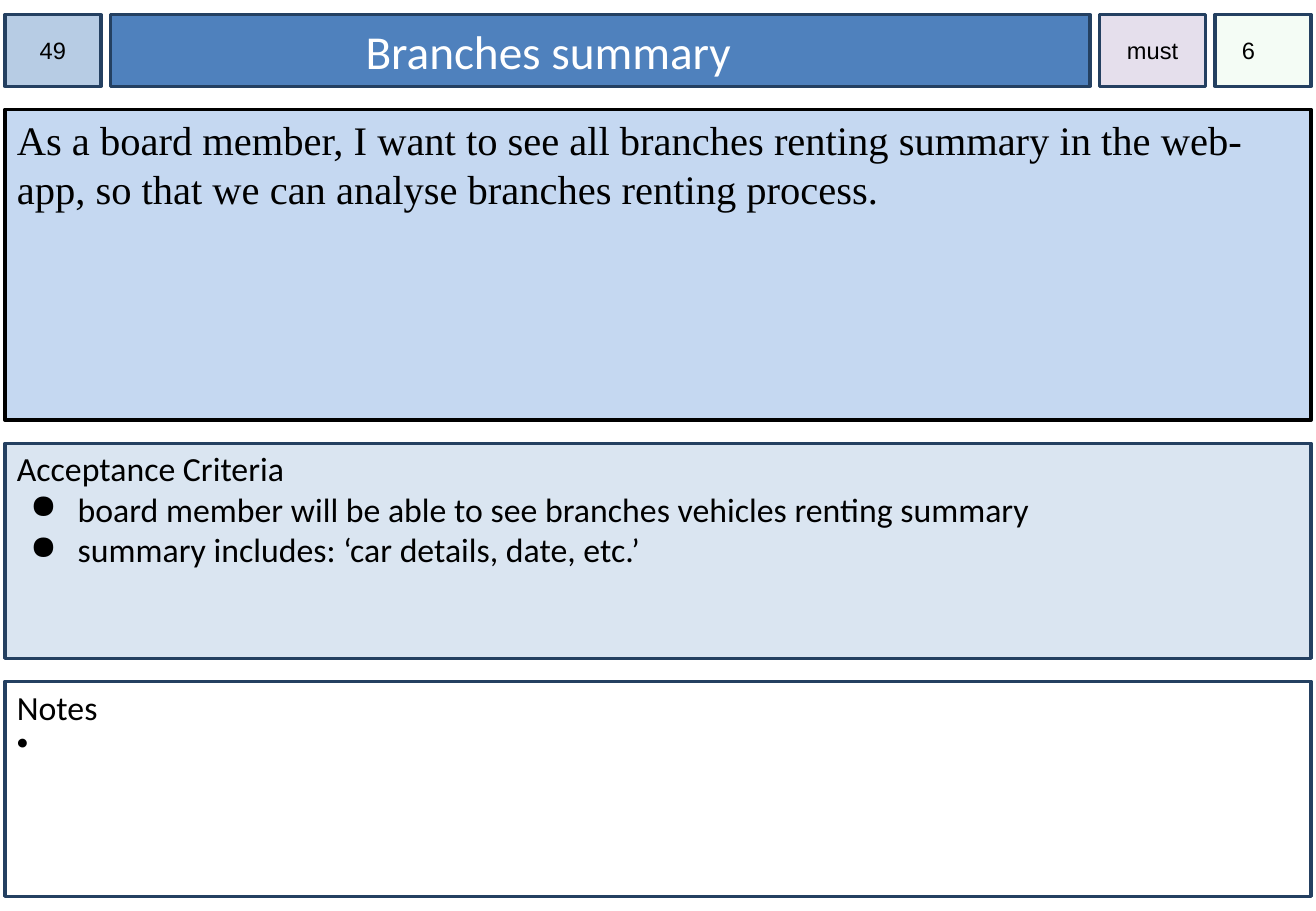
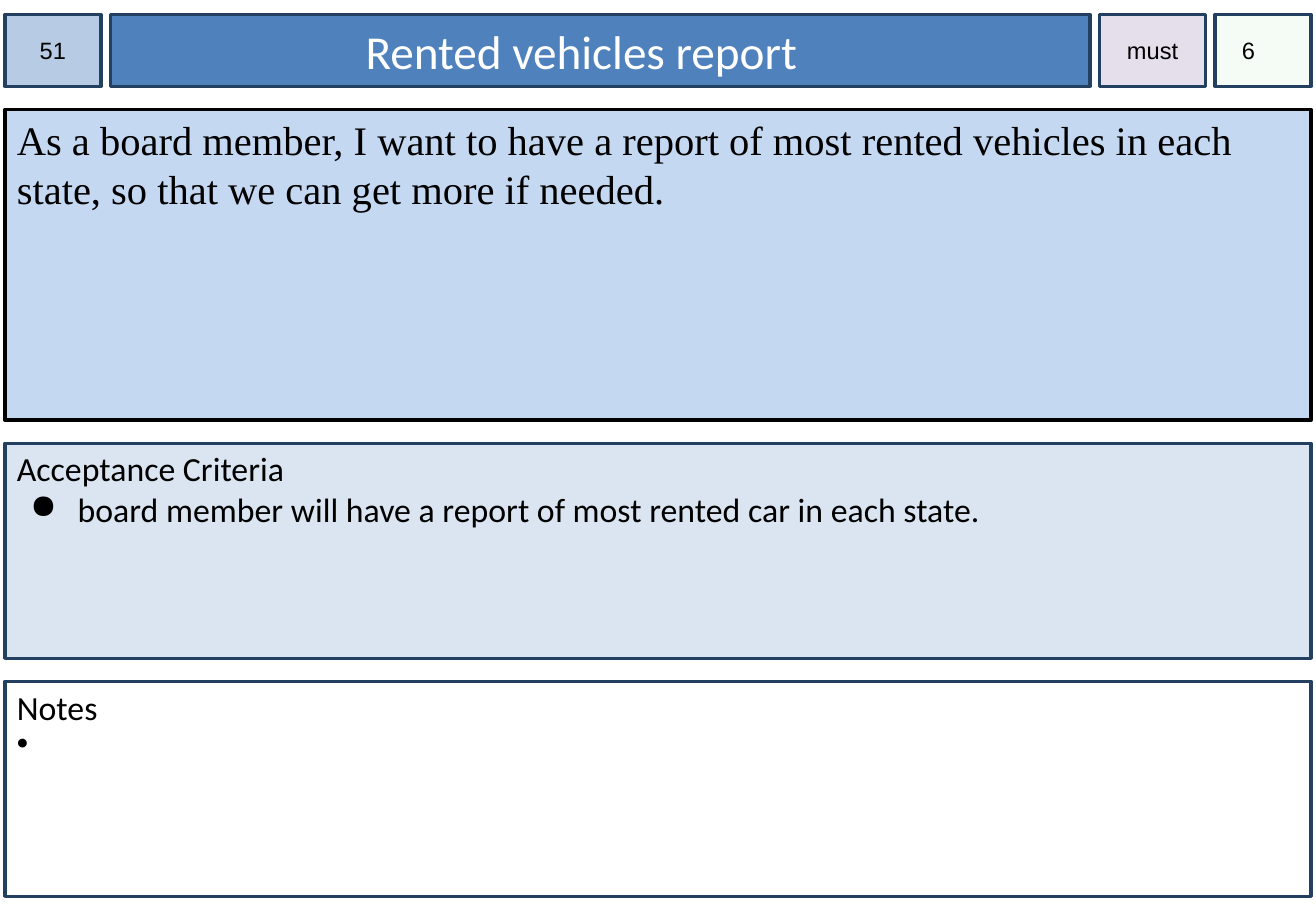
"""Build user story cards, one per slide."""
import lxml.etree
import pptx
import pptx.dml.color
import pptx.enum.shapes
import pptx.enum.text
import pptx.oxml.ns
import pptx.util

RGBColor = pptx.dml.color.RGBColor
Inches = pptx.util.Inches
ALIGN = pptx.enum.text.PP_ALIGN
ANCHOR = pptx.enum.text.MSO_ANCHOR
qn = pptx.oxml.ns.qn

BLACK = RGBColor(0x00, 0x00, 0x00)
WHITE = RGBColor(0xFF, 0xFF, 0xFF)
NAVY = RGBColor(0x24, 0x40, 0x61)
BLUE = RGBColor(0x4F, 0x81, 0xBD)
STEEL = RGBColor(0xB7, 0xCC, 0xE4)
SKY = RGBColor(0xC5, 0xD8, 0xF1)
PALE = RGBColor(0xDA, 0xE5, 0xF1)
LILAC = RGBColor(0xE5, 0xDF, 0xEC)
MINT = RGBColor(0xCC, 0xF0, 0xCD)

CARDS = [
    {
        "number": "49",
        "title": "Branches summary",
        "priority": "must",
        "points": "6",
        "story": "As a board member, I want to see all branches renting summary in the web-app, "
                 "so that we can analyse branches renting process.",
        "criteria": [
            "board member will be able to see branches vehicles renting summary",
            "summary includes: ‘car details, date, etc.’",
        ],
        "notes": [" "],
    },
    {
        "number": "51",
        "title": "Rented vehicles report",
        "priority": "must",
        "points": "6",
        "story": "As a board member, I want to have a report of most rented vehicles in each state, "
                 "so that we can get more if needed.",
        "criteria": ["board member will have a report of most rented car in each state."],
        "notes": [" "],
    },
]

SLIDE_W, SLIDE_H = 10.83, 7.5
LEFT, TOP = 0.04, 0.12
FULL_W = SLIDE_W - 2 * LEFT
COL_GAP, ROW_GAP = 0.08, 0.19
NUMBER_W, PRIORITY_W, POINTS_W = 0.79, 0.87, 0.79
TITLE_W = FULL_W - NUMBER_W - PRIORITY_W - POINTS_W - 3 * COL_GAP
COLUMNS = [NUMBER_W, TITLE_W, PRIORITY_W, POINTS_W]
ROWS = [0.59, 2.56, 1.77, 1.77]


def starts(first, sizes, gap):
    return [first + sum(sizes[:i]) + i * gap for i in range(len(sizes))]


def set_indent(p, left, first, bullet=None):
    pPr = p._p.get_or_add_pPr()
    pPr.set("marL", str(Inches(left)))
    pPr.set("indent", str(Inches(first)))
    if bullet:
        lxml.etree.SubElement(pPr, qn("a:buChar")).set("char", bullet)


def add_box(s, at, lines, fill, font, size, color=BLACK, line=NAVY, side=0.1,
            top=0.05, anchor=ANCHOR.TOP, align=ALIGN.LEFT, alpha=None):
    sp = s.shapes.add_shape(pptx.enum.shapes.MSO_SHAPE.RECTANGLE, *map(Inches, at))
    sp.shadow.inherit = False
    sp.fill.solid()
    sp.fill.fore_color.rgb = fill
    if alpha:
        clr = sp._element.spPr.find(qn("a:solidFill"))[0]
        lxml.etree.SubElement(clr, qn("a:alpha")).set("val", str(alpha * 1000))
    sp.line.color.rgb = line
    sp.line.width = pptx.util.Pt(2)
    tf = sp.text_frame
    tf.word_wrap = True
    tf.vertical_anchor = anchor
    tf.margin_left = tf.margin_right = Inches(side)
    tf.margin_top, tf.margin_bottom = Inches(top), Inches(0.05)
    tf.text = "\n".join(lines)
    for p in tf.paragraphs:
        p.alignment = align
        for r in p.runs:
            r.font.name = font
            r.font.size = pptx.util.Pt(size)
            r.font.color.rgb = color
    return tf.paragraphs


def add_list(s, at, heading, items, fill, bullet, indent):
    heading_p, *item_ps = add_box(s, at, [heading, *items], fill, "Calibri", 20, top=0.04)
    for p in item_ps:
        set_indent(p, *indent, bullet)


def add_card(prs, card):
    s = prs.slides.add_slide(prs.slide_layouts[6])
    xs = starts(LEFT, COLUMNS, COL_GAP)
    ys = starts(TOP, ROWS, ROW_GAP)
    number, title, priority, points = [(x, TOP, w, ROWS[0]) for x, w in zip(xs, COLUMNS)]
    story, criteria, notes = [(LEFT, y, FULL_W, h) for y, h in zip(ys[1:], ROWS[1:])]

    label = {"font": "Arial", "size": 14, "side": 0, "anchor": ANCHOR.MIDDLE}
    add_box(s, number, [card["number"]], STEEL, align=ALIGN.CENTER, **label)
    title_ps = add_box(s, title, [card["title"]], BLUE, "Calibri", 28, WHITE,
                       anchor=ANCHOR.MIDDLE)
    set_indent(title_ps[0], 1.5, 0.5)
    add_box(s, priority, [card["priority"]], LILAC, align=ALIGN.CENTER, **label)
    points_ps = add_box(s, points, [card["points"]], MINT, alpha=20, **label)
    set_indent(points_ps[0], 0.22, 0)

    add_box(s, story, [card["story"]], SKY, "Times New Roman", 24, line=BLACK)
    add_list(s, criteria, "Acceptance Criteria", card["criteria"], PALE, "●", (0.5, -0.39))
    add_list(s, notes, "Notes", card["notes"], WHITE, "•", (0.2, -0.2))


def main():
    prs = pptx.Presentation()
    prs.slide_width, prs.slide_height = Inches(SLIDE_W), Inches(SLIDE_H)
    for card in CARDS:
        add_card(prs, card)
    prs.save("out.pptx")


if __name__ == "__main__":
    main()
